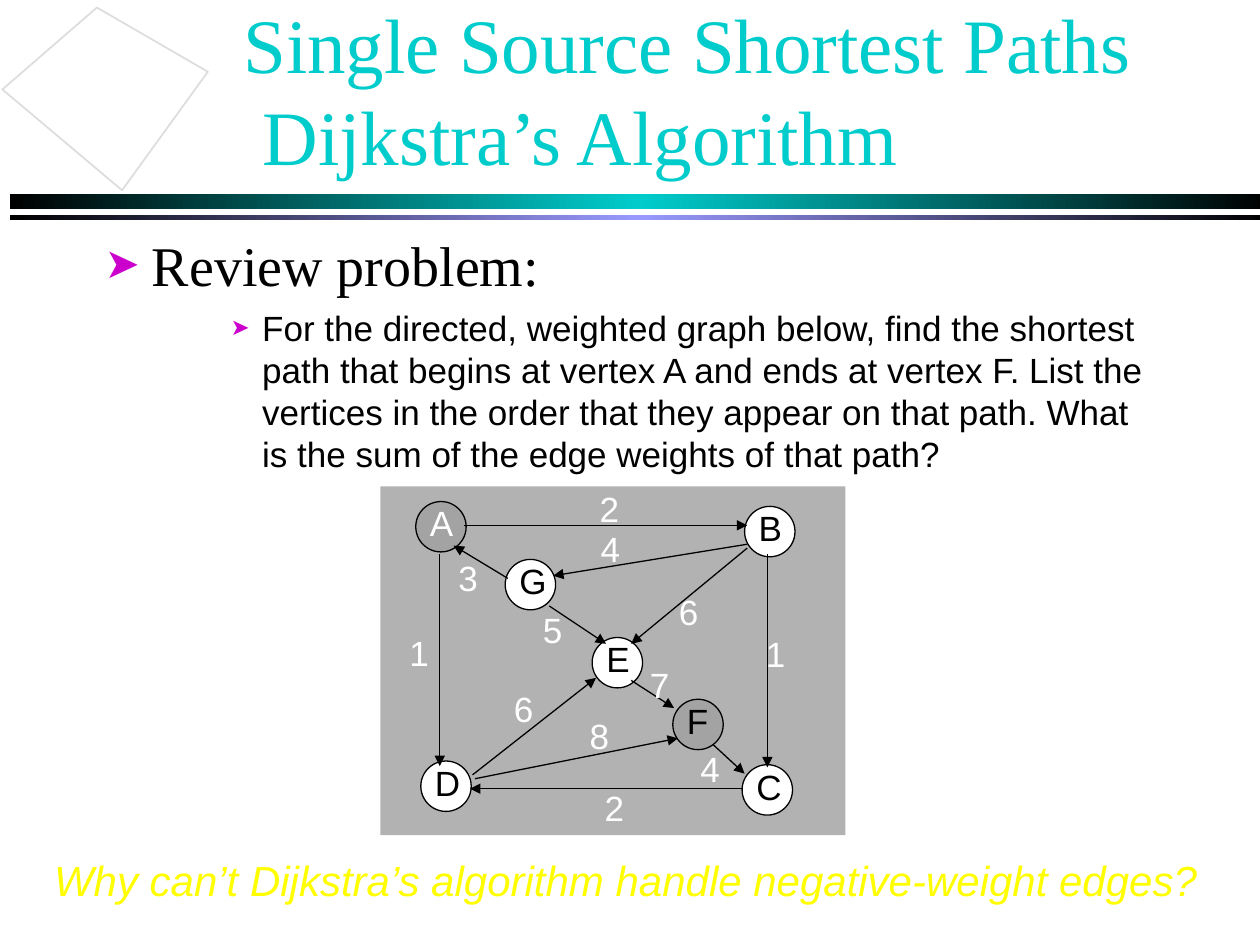
from copy import deepcopy
from dataclasses import dataclass

from lxml.etree import SubElement
from pptx import Presentation
from pptx.dml.color import RGBColor
from pptx.enum.shapes import MSO_CONNECTOR, MSO_SHAPE
from pptx.enum.text import MSO_ANCHOR, MSO_AUTO_SIZE, PP_ALIGN
from pptx.oxml.ns import qn
from pptx.util import Pt


@dataclass(frozen=True)
class Theme:
    black: RGBColor = RGBColor(0, 0, 0)
    white: RGBColor = RGBColor(255, 255, 255)
    teal: RGBColor = RGBColor(0x00, 0xCC, 0xCC)
    periwinkle: RGBColor = RGBColor(0x99, 0x99, 0xFF)
    outline: RGBColor = RGBColor(0xDD, 0xDD, 0xDD)
    panel: RGBColor = RGBColor(0xB2, 0xB2, 0xB2)
    endpoint: RGBColor = RGBColor(0x96, 0x96, 0x96)
    bullet: RGBColor = RGBColor(0xCC, 0x00, 0xCC)
    yellow: RGBColor = RGBColor(0xFF, 0xFF, 0x00)
    serif: str = "Times New Roman"
    sans: str = "Arial"
    title: int = 44
    heading: int = 32
    text: int = 20
    question: int = 24


theme = Theme()


def add_run(p, text, size, font, color):
    r = p.add_run()
    r.text = text
    r.font.size = Pt(size)
    r.font.name = font
    r.font.color.rgb = color
    return r


def add_label(shapes, text, x, y, w, h, size, color):
    tf = shapes.add_textbox(Pt(x), Pt(y), Pt(w), Pt(h)).text_frame
    tf.word_wrap = True
    return add_run(tf.paragraphs[0], text, size, theme.sans, color)


prs = Presentation()
prs.slide_width, prs.slide_height = Pt(720), Pt(540)
slide = prs.slides.add_slide(prs.slide_layouts[1])
shapes = slide.shapes

# Header decoration: two gradient rules and a tilted quadrilateral
for y, height, middle in [(110.9, 8.6, theme.teal), (123.1, 2.9, theme.periwinkle)]:
    s = shapes.add_shape(MSO_SHAPE.RECTANGLE, Pt(5.8), Pt(y), Pt(719.3), Pt(height))
    s.shadow.inherit = False
    s.line.fill.background()
    s.fill.gradient()
    s.fill.gradient_angle = 0
    stops = s._element.spPr.find(".//" + qn("a:gsLst"))
    stops.append(deepcopy(stops[0]))
    colors = (theme.black, middle, theme.black)
    for stop, position, color in zip(s.fill.gradient_stops, (0, 0.5, 1), colors):
        stop.position = position
        stop.color.rgb = color

builder = shapes.build_freeform(Pt(69.8), Pt(108.7))
builder.add_line_segments(
    [(Pt(x), Pt(y)) for x, y in [(1.4, 51.1), (55.4, 4.3), (118.8, 41)]], close=True)
s = builder.convert_to_shape()
s.shadow.inherit = False
s.fill.solid()
s.fill.fore_color.rgb = theme.white
s.line.color.rgb = theme.outline
s.line.width = Pt(1)

# Title
sp = shapes.title
sp.left, sp.top, sp.width, sp.height = Pt(131.8), Pt(5.8), Pt(612), Pt(90)
tf = sp.text_frame
tf.auto_size = MSO_AUTO_SIZE.NONE
tf.vertical_anchor = MSO_ANCHOR.MIDDLE
p = tf.paragraphs[0]
p.alignment = PP_ALIGN.LEFT
title_runs = [add_run(p, "Single Source Shortest Paths", theme.title, theme.serif, theme.teal)]
p.add_line_break()
title_runs.append(add_run(p, " Dijkstra’s Algorithm", theme.title, theme.serif, theme.teal))
for r in title_runs:
    effects = r.font._element.makeelement(qn("a:effectLst"), {})
    shadow = SubElement(effects, qn("a:outerShdw"), dist="25400", dir="2700000")
    SubElement(shadow, qn("a:srgbClr"), val=str(theme.black))
    r.font._element.find(qn("a:solidFill")).addnext(effects)

# Review problem: text, level, indent, hang, space before, bullet %, size, font
items = [
    ("Review problem:", 0, 27, 27, 0, 75, theme.heading, theme.serif),
    ("For the directed, weighted graph below, find the shortest path that begins at "
     "vertex A and ends at vertex F. List the vertices in the order that they appear "
     "on that path. What is the sum of the edge weights of that path?",
     2, 90, 18, 5, 65, theme.text, theme.sans),
]
sp = slide.placeholders[1]
sp.left, sp.top, sp.width, sp.height = Pt(52.6), Pt(128.2), Pt(612), Pt(324)
tf = sp.text_frame
tf.auto_size = MSO_AUTO_SIZE.NONE
for i, (text, level, indent, hang, before, percent, size, font) in enumerate(items):
    p = tf.add_paragraph() if i else tf.paragraphs[0]
    p.level = level
    p.space_before = Pt(before)
    pPr = p._p.get_or_add_pPr()
    pPr.set("marL", str(Pt(indent)))
    pPr.set("indent", str(-Pt(hang)))
    SubElement(SubElement(pPr, qn("a:buClr")), qn("a:srgbClr"), val=str(theme.bullet))
    SubElement(pPr, qn("a:buSzPct"), val=str(percent * 1000))
    SubElement(pPr, qn("a:buChar"), char="➤")
    add_run(p, text, size, font, theme.black)

# Graph panel
s = shapes.add_shape(MSO_SHAPE.RECTANGLE, Pt(217.4), Pt(277.9), Pt(265.7), Pt(199.4))
s.shadow.inherit = False
s.fill.solid()
s.fill.fore_color.rgb = theme.panel
s.line.fill.background()

# Vertices: name, left, top, whether it ends the path, label colour
vertices = [
    ("A", 237.6, 286.6, True, theme.white),
    ("B", 425.5, 289.4, False, theme.black),
    ("C", 424.1, 437, False, theme.black),
    ("D", 240.5, 434.9, False, theme.black),
    ("E", 338.4, 364.3, False, theme.black),
    ("F", 384.5, 399.6, True, theme.black),
    ("G", 288.7, 319.7, False, theme.black),
]
for name, x, y, is_endpoint, color in vertices:
    s = shapes.add_shape(MSO_SHAPE.OVAL, Pt(x), Pt(y), Pt(28.8), Pt(28.8))
    s.shadow.inherit = False
    s.fill.solid()
    s.fill.fore_color.rgb = theme.endpoint if is_endpoint else theme.white
    if is_endpoint:
        fill_color = s._element.spPr.find(qn("a:solidFill"))[0]
        SubElement(fill_color, qn("a:alpha"), val="50000")
    s.line.color.rgb = theme.black
    s.line.width = Pt(0.75)
    add_label(shapes, name, x + 1, y - 3.4, 41, 34.6, theme.text, color)

# Directed edges: start, end, weight, weight label corner
edges = [
    ((265, 300.2), (427, 300.2), 2, (335.5, 275)),
    ((251.3, 316.8), (251.3, 437.8), 1, (226.8, 357.1)),
    ((424.8, 450.7), (268.6, 450.7), 2, (338.4, 445.7)),
    ((438.5, 316.8), (438.5, 438.5), 1, (430.6, 357.8)),
    ((427, 311), (316.1, 329), 4, (336.2, 298.1)),
    ((427, 313.2), (360.7, 367.9), 6, (380.9, 334.1)),
    ((270, 442.8), (340.6, 387.4), 6, (286.6, 389.5)),
    ((271.4, 445), (387.4, 421.9), 8, (329.8, 404.6)),
    ((290.2, 330.5), (259.2, 311.8), 3, (254.9, 314.6)),
    ((313.9, 346.3), (346.3, 367.9), 5, (303.1, 344.2)),
    ((360.7, 388.8), (385.2, 404.6), 7, (364.3, 375.8)),
    ((407.5, 425.5), (425.5, 442.1), 4, (393.1, 423.4)),
]
for start, end, weight, corner in edges:
    s = shapes.add_connector(MSO_CONNECTOR.STRAIGHT, *map(Pt, start + end))
    s.line.color.rgb = theme.black
    s.line.width = Pt(0.75)
    SubElement(s.line._get_or_add_ln(), qn("a:tailEnd"), type="triangle")
    SubElement(s._element.spPr, qn("a:effectLst"))
    add_label(shapes, str(weight), *corner, 37.4, 29.5, theme.text, theme.white)

r = add_label(shapes, "Why can’t Dijkstra’s algorithm handle negative-weight edges?",
              23.8, 484.6, 696.2, 36, theme.question, theme.yellow)
r.font.italic = True

prs.save("out.pptx")
